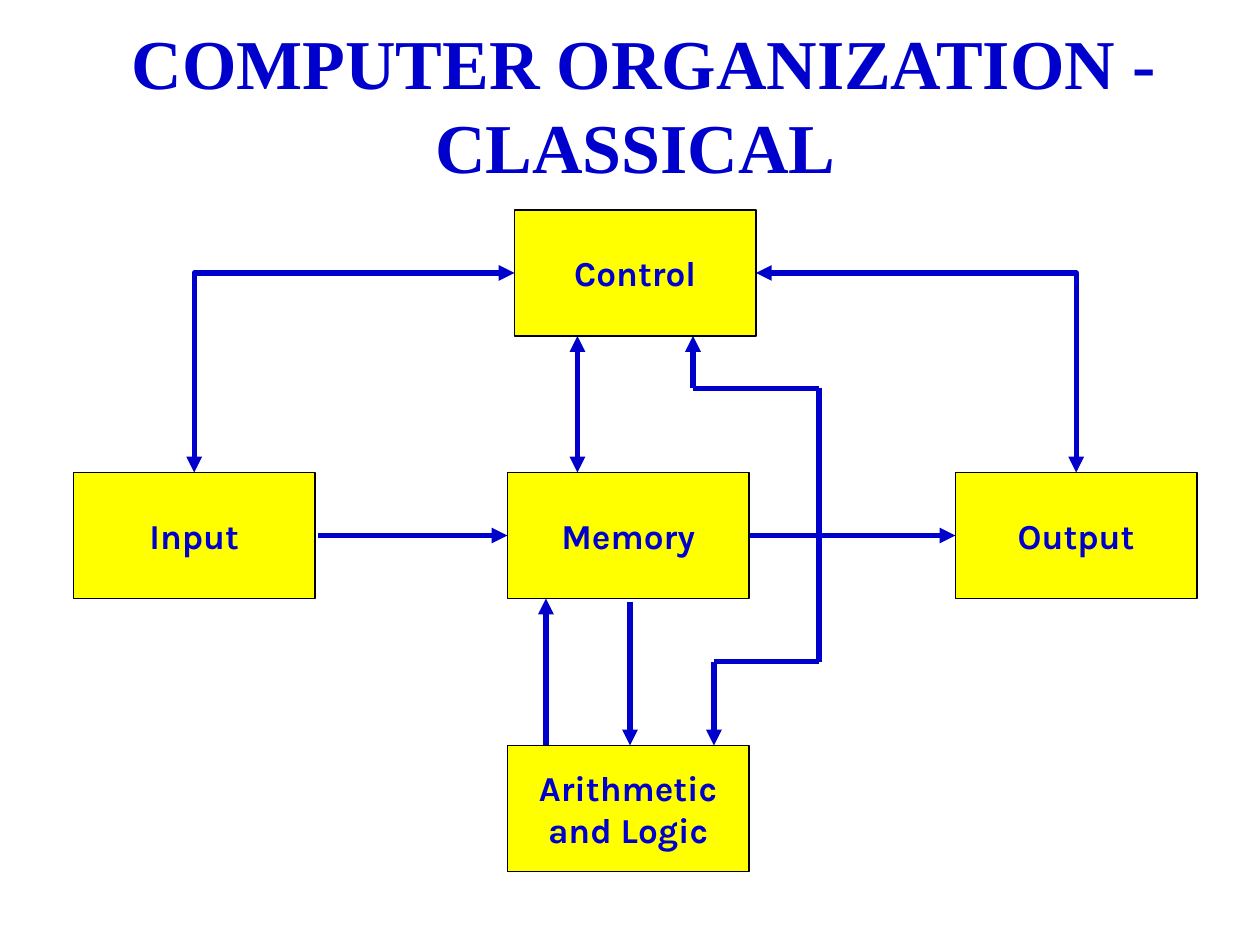
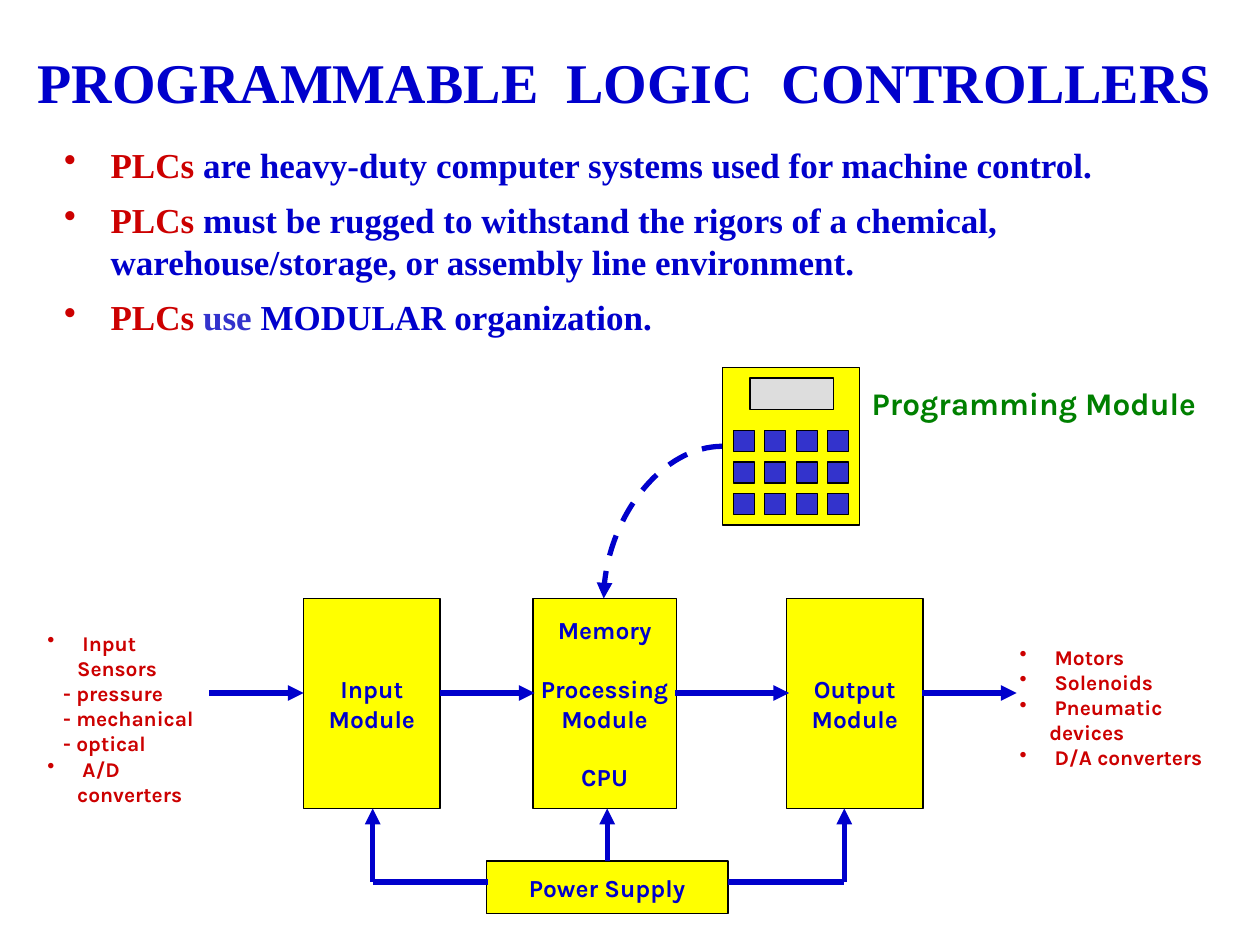
from lxml.etree import SubElement
from pptx import Presentation
from pptx.dml.color import RGBColor
from pptx.enum.dml import MSO_LINE
from pptx.enum.shapes import MSO_CONNECTOR as CONN, MSO_SHAPE
from pptx.enum.text import MSO_ANCHOR, PP_ALIGN
from pptx.oxml.ns import qn
from pptx.util import Pt

COLORS = {
    "blue": "0000CC",
    "yellow": "FFFF00",
    "black": "000000",
    "red": "CC0000",
    "key": "3333CC",
    "green": "008000",
    "display": "DDDDDD",
}
SERIF = "Times New Roman"
SANS = "Karla"


def rgb(name):
    return RGBColor.from_string(COLORS[name])


def add_para(tf, text, size=14, font=SANS, color="blue", align=PP_ALIGN.LEFT,
             before=0, left=0, bullet=False):
    p = tf.paragraphs[0]
    if p.runs:
        p = tf.add_paragraph()
        p.space_before = Pt(before)
    p.alignment = align
    pPr = p._p.get_or_add_pPr()
    pPr.set("marL", str(Pt(left)))
    pPr.set("indent", str(Pt(-left if bullet else 0)))
    if bullet:
        clr = SubElement(pPr, qn("a:buClr"))
        SubElement(clr, qn("a:srgbClr")).set("val", COLORS["red"])
        SubElement(pPr, qn("a:buChar")).set("char", "•")
    runs = [(text, color)] if isinstance(text, str) else text
    for words, run_color in runs:
        r = p.add_run()
        r.text = words
        r.font.name, r.font.size, r.font.bold = font, Pt(size), True
        r.font.color.rgb = rgb(run_color)


class Deck:
    def __init__(self):
        self.prs = Presentation()
        self.prs.slide_width, self.prs.slide_height = Pt(720), Pt(540)

    def slide(self):
        self.s = self.prs.slides.add_slide(self.prs.slide_layouts[6])

    def text(self, x, y, w, h, anchor=MSO_ANCHOR.TOP):
        tf = self.s.shapes.add_textbox(Pt(x), Pt(y), Pt(w), Pt(h)).text_frame
        tf.word_wrap = True
        tf.vertical_anchor = anchor
        return tf

    def title(self, text, x, y, w, h, size):
        tf = self.text(x, y, w, h, MSO_ANCHOR.MIDDLE)
        add_para(tf, text, size=size, font=SERIF, align=PP_ALIGN.CENTER)

    def box(self, x, y, w, h, *lines, fill="yellow", size=14, before=()):
        sp = self.s.shapes.add_shape(MSO_SHAPE.RECTANGLE, Pt(x), Pt(y), Pt(w), Pt(h))
        sp.shadow.inherit = False
        sp.fill.solid()
        sp.fill.fore_color.rgb = rgb(fill)
        sp.line.color.rgb = rgb("black")
        sp.line.width = Pt(0.75)
        tf = sp.text_frame
        tf.word_wrap = False
        tf.vertical_anchor = MSO_ANCHOR.MIDDLE
        for line in lines:
            add_para(tf, line, size=size, align=PP_ALIGN.CENTER,
                     before=16.75 if line in before else 0)

    def connector(self, start, end, kind=CONN.STRAIGHT, preset=None,
                  head=False, tail=True, dashed=False):
        c = self.s.shapes.add_connector(kind, *map(Pt, start + end))
        c.line.color.rgb = rgb("blue")
        c.line.width = Pt(3)
        if dashed:
            c.line.dash_style = MSO_LINE.DASH
        spPr = c._element.spPr
        if preset:
            spPr.find(qn("a:prstGeom")).set("prst", preset)
        ln = c.line._get_or_add_ln()
        for tag, wanted in (("a:headEnd", head), ("a:tailEnd", tail)):
            if wanted:
                SubElement(ln, qn(tag)).set("type", "triangle")
        SubElement(spPr, qn("a:effectLst"))

    def wire(self, *points, head=False):
        last = len(points) - 2
        for i, (start, end) in enumerate(zip(points, points[1:])):
            self.connector(start, end, head=head and i == 0, tail=i == last)


def organization(d):
    d.slide()
    d.title(" COMPUTER ORGANIZATION - CLASSICAL", 30, 32, 666, 54, 40)

    d.wire((426, 306), (546, 306))
    d.wire((182, 306), (290, 306))
    d.wire((360, 344), (360, 426))
    d.wire((312, 426), (312, 342))
    d.wire((330, 192), (330, 270), head=True)
    d.wire((396, 192), (396, 222), (468, 222), (468, 378), (408, 378), (408, 426),
           head=True)
    for control_x, unit_x in ((432, 615), (294, 111)):
        d.connector((control_x, 156), (unit_x, 270), CONN.ELBOW,
                    "bentConnector2", head=True)

    for x, y, *lines in (
        (294, 120, "Control"),
        (42, 270, "Input"),
        (290, 270, "Memory"),
        (546, 270, "Output"),
        (290, 426, "Arithmetic", "and Logic"),
    ):
        d.box(x, y, 138, 72, *lines, size=20)


def device_list(d, x, y, w, h, items):
    tf = d.text(x, y, w, h)
    for item in items:
        dash = item.startswith("-")
        add_para(tf, item if dash else " " + item, size=12, color="red",
                 left=9 if dash else 17, bullet=not dash)


def programming_module(d):
    d.box(413, 210, 78, 90)
    d.box(428.5, 216, 48, 18, fill="display")
    for row in range(3):
        for col in range(4):
            d.box(419 + 18 * col, 246 + 18 * row, 12, 12, fill="key")
    add_para(d.text(491, 216, 212, 29), "Programming Module", size=18, color="green")


def controllers(d):
    d.slide()
    d.title("PROGRAMMABLE  LOGIC  CONTROLLERS", 12, 16.5, 690, 60, 32)

    tf = d.text(29.5, 78.5, 624, 119)
    for rest in (
        [(" are heavy-duty computer systems used for machine control.", "blue")],
        [(" must be rugged to withstand the rigors of a chemical, "
          "warehouse/storage, or assembly line environment.", "blue")],
        [(" use ", "key"), ("MODULAR organization.", "blue")],
    ):
        add_para(tf, [("PLCs", "red")] + rest, size=20, font=SERIF,
                 before=7.5, left=26.6, bullet=True)

    device_list(d, 20, 356.5, 110, 79, (
        "Input Sensors", "- pressure", "- mechanical", "- optical", "A/D converters"))
    device_list(d, 575.5, 364.5, 134, 65, (
        "Motors", "Solenoids", "Pneumatic devices", "D/A converters"))

    d.connector((413, 255), (345, 342), CONN.CURVE, "curvedConnector2", dashed=True)
    programming_module(d)

    d.box(278, 492, 138, 30, "Power Supply")
    d.box(173.5, 342, 78, 120, "Input", "Module")
    d.box(304.5, 342, 82, 120, "Memory", "Processing", "Module", "CPU",
          before=("Processing", "CPU"))
    d.box(449.5, 342, 78, 120, "Output", "Module")

    for x1, x2 in ((119.5, 173.5), (251.5, 305.5), (386, 451), (527, 581)):
        d.wire((x1, 396), (x2, 396))
    d.wire((347, 492), (347, 462))
    for supply_x, module_x in ((279, 213), (416, 482.5)):
        d.wire((supply_x, 504), (module_x, 504), (module_x, 462))


def main():
    d = Deck()
    organization(d)
    controllers(d)
    d.prs.save("out.pptx")


if __name__ == "__main__":
    main()
